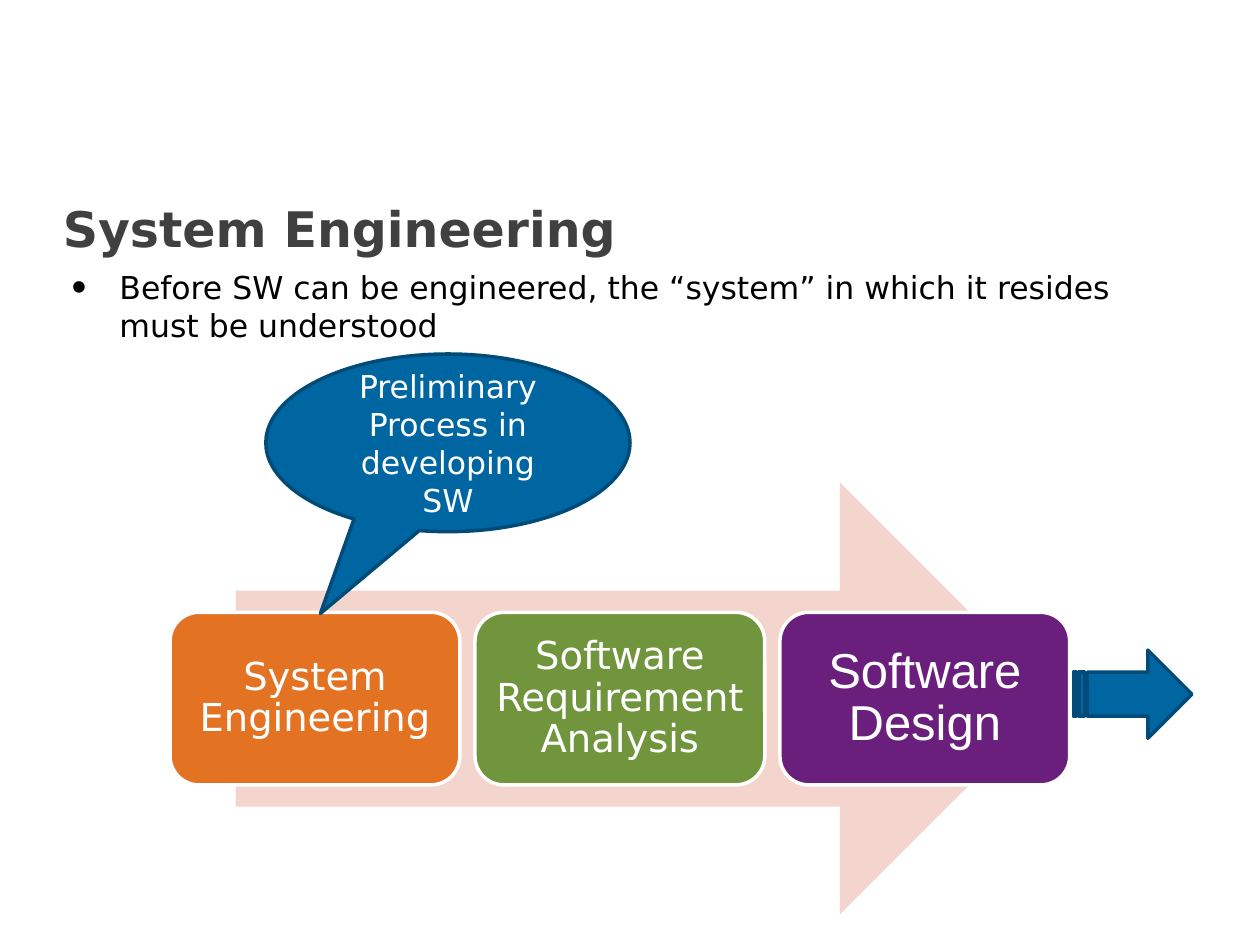
from pptx import Presentation
from pptx.dml.color import RGBColor
from pptx.enum.shapes import MSO_SHAPE
from pptx.enum.text import MSO_ANCHOR, PP_ALIGN
from pptx.oxml.ns import qn
from pptx.util import Inches, Pt

MIDDLE, TOP = MSO_ANCHOR.MIDDLE, MSO_ANCHOR.TOP
CENTER, LEFT = PP_ALIGN.CENTER, PP_ALIGN.LEFT
SANS = "DejaVu Sans"
WHITE, BLUE, NAVY = "FFFFFF", "0066A1", "004B77"

deck = Presentation()
deck.slide_width, deck.slide_height = Inches(10), Inches(7.5)
page = deck.slides.add_slide(deck.slide_layouts[6])


def add_figure(kind, place, fill, line=None):
    figure = page.shapes.add_shape(kind, *[Inches(length) for length in place])
    figure.shadow.inherit = False
    figure.fill.solid()
    figure.fill.fore_color.rgb = RGBColor.from_string(fill)
    if line:
        figure.line.color.rgb = RGBColor.from_string(line)
        figure.line.width = Pt(2)
    else:
        figure.line.fill.background()
    return figure


def write(box, text, size, color=WHITE, name=SANS, bold=False,
          align=CENTER, anchor=MIDDLE, margin=0.1):
    frame = box.text_frame
    frame.word_wrap = True
    frame.vertical_anchor = anchor
    frame.margin_left = frame.margin_right = Inches(margin)
    para = frame.paragraphs[0]
    para.alignment = align
    span = para.add_run()
    span.text = text
    for key, value in {"size": Pt(size), "name": name, "bold": bold}.items():
        setattr(span.font, key, value)
    span.font.color.rgb = RGBColor.from_string(color)
    return para


# Heading and bullet
title = page.shapes.add_textbox(Inches(0.4), Inches(1.46), Inches(9.11), Inches(0.7))
write(title, "System Engineering", 28, "404040", bold=True, align=LEFT)

body = page.shapes.add_textbox(Inches(0.47), Inches(2.08), Inches(9), Inches(0.75))
bullet = write(
    body, "Before SW can be engineered, the “system” in which it resides must be understood",
    18, "000000", align=LEFT, anchor=TOP)
properties = bullet._p.get_or_add_pPr()
properties.set("marL", str(Inches(0.38)))
properties.set("indent", str(-Inches(0.38)))
for tag, key, value in [("a:buSzPct", "val", "135000"),
                        ("a:buFont", "typeface", "Arial"),
                        ("a:buChar", "char", "•")]:
    mark = properties.makeelement(qn(tag), {key: value})
    properties.append(mark)

# Process arrow with one card per step
add_figure(MSO_SHAPE.RIGHT_ARROW, (1.87, 3.83, 6.51, 3.43), "F4D5CD")

card_left, card_top, card_width, card_height, gap = 1.35, 4.86, 2.3, 1.37, 0.12
steps = [
    ("System Engineering", "E37222", 22, SANS, 0.09),
    ("Software Requirement Analysis", "71953D", 22, SANS, 0.09),
    ("Software Design", "6B1F7C", 28, "Arial", 0.12),
]
for column, (label, fill, size, font_name, margin) in enumerate(steps):
    left = card_left + column * (card_width + gap)
    card = add_figure(MSO_SHAPE.ROUNDED_RECTANGLE,
                      (left, card_top, card_width, card_height), fill, WHITE)
    para = write(card, label, size, name=font_name, margin=margin)
    para.line_spacing = 0.9

# Callout on the first step, and the arrow to what follows
callout = add_figure(MSO_SHAPE.OVAL_CALLOUT, (2.11, 2.81, 2.89, 1.41), BLUE, NAVY)
callout.adjustments[0] = -0.35
callout.adjustments[1] = 0.96
write(callout, "Preliminary Process in developing SW", 18)

add_figure(MSO_SHAPE.STRIPED_RIGHT_ARROW, (8.52, 5.16, 0.94, 0.7), BLUE, NAVY)

deck.save("out.pptx")
